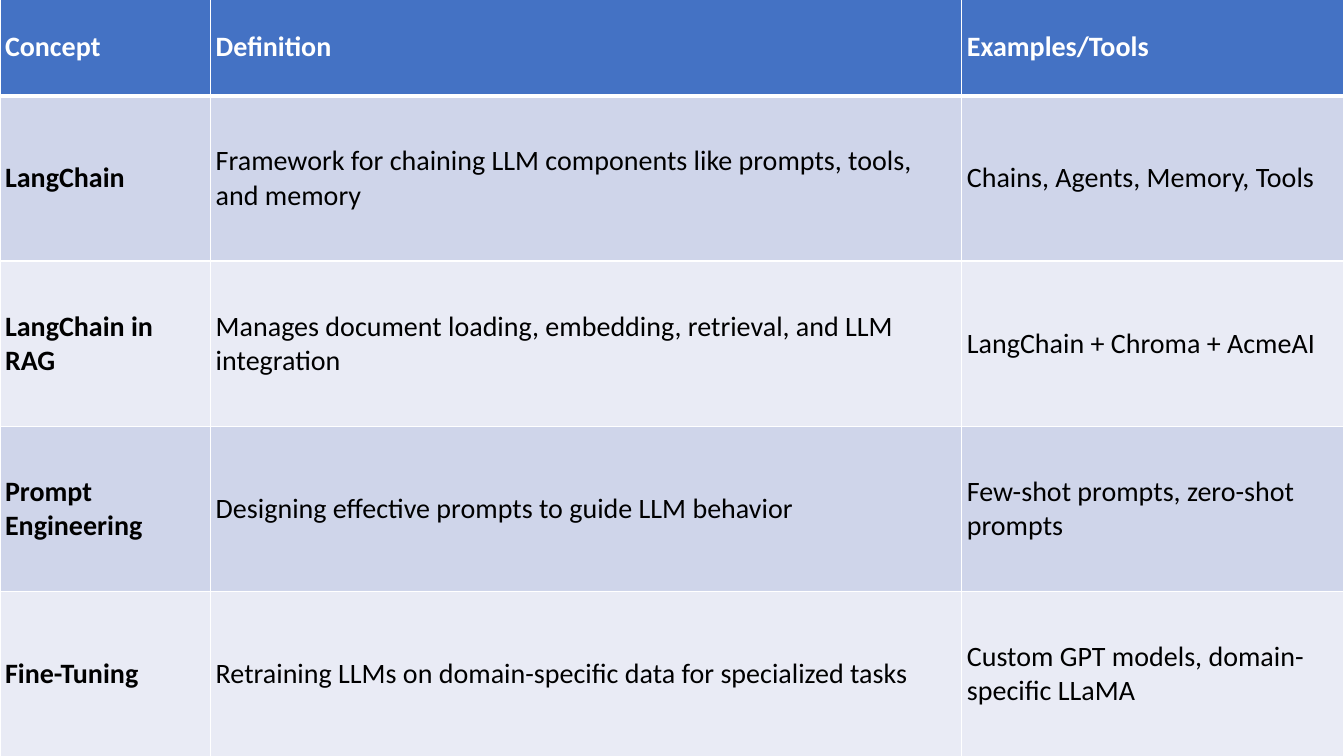
from dataclasses import dataclass

from lxml.etree import SubElement
from pptx import Presentation
from pptx.dml.color import RGBColor
from pptx.enum.text import MSO_ANCHOR
from pptx.oxml.ns import qn
from pptx.table import _Cell
from pptx.util import Inches, Pt

NAVY = RGBColor(0x00, 0x20, 0x60)
BLUE = RGBColor(0x44, 0x72, 0xC4)
BAND_DARK = RGBColor(0xCF, 0xD5, 0xEA)
BAND_LIGHT = RGBColor(0xE9, 0xEB, 0xF5)
WHITE = RGBColor(0xFF, 0xFF, 0xFF)
BLACK = RGBColor(0x00, 0x00, 0x00)

COLUMN_WIDTHS = (2.09, 7.45, 3.79)
HEADER_HEIGHT = 0.96
BODY_HEIGHT = 1.64
THIN_BORDER = 1
HEADER_BORDER = 3


@dataclass(frozen=True)
class ConceptRow:
    concept: str
    definition: str
    examples: str


ROWS = (
    ConceptRow("Concept", "Definition", "Examples/Tools"),
    ConceptRow(
        "LangChain",
        "Framework for chaining LLM components like prompts, tools, and memory",
        "Chains, Agents, Memory, Tools",
    ),
    ConceptRow(
        "LangChain in RAG",
        "Manages document loading, embedding, retrieval, and LLM integration",
        "LangChain + Chroma + AcmeAI",
    ),
    ConceptRow(
        "Prompt Engineering",
        "Designing effective prompts to guide LLM behavior",
        "Few-shot prompts, zero-shot prompts",
    ),
    ConceptRow(
        "Fine-Tuning",
        "Retraining LLMs on domain-specific data for specialized tasks",
        "Custom GPT models, domain-specific LLaMA",
    ),
)


def write_text(cell: _Cell, text: str, *, color: RGBColor, bold: bool) -> None:
    cell.vertical_anchor = MSO_ANCHOR.MIDDLE
    cell.margin_left = cell.margin_right = Inches(0.05)
    cell.margin_top = cell.margin_bottom = Inches(0.03)
    run = cell.text_frame.paragraphs[0].add_run()
    run.text = text
    run.font.name = "Calibri"
    run.font.size = Pt(20)
    run.font.bold = bold
    run.font.color.rgb = color


def set_borders(cell: _Cell, *, top: float, bottom: float) -> None:
    properties = cell._tc.get_or_add_tcPr()
    widths = {"lnL": THIN_BORDER, "lnR": THIN_BORDER, "lnT": top, "lnB": bottom}
    for side, width in widths.items():
        line = SubElement(properties, qn(f"a:{side}"), w=str(Pt(width)))
        fill = SubElement(line, qn("a:solidFill"))
        SubElement(fill, qn("a:srgbClr"), val=str(WHITE))


def fill_cell(cell: _Cell, text: str, row_index: int, column_index: int) -> None:
    is_header = row_index == 0
    write_text(
        cell,
        text,
        color=WHITE if is_header else BLACK,
        bold=is_header or column_index == 0,
    )
    set_borders(
        cell,
        top=HEADER_BORDER if row_index == 1 else THIN_BORDER,
        bottom=HEADER_BORDER if is_header else THIN_BORDER,
    )
    band = BAND_DARK if row_index % 2 else BAND_LIGHT
    cell.fill.solid()
    cell.fill.fore_color.rgb = BLUE if is_header else band


def main() -> None:
    presentation = Presentation()
    presentation.slide_width = Inches(13.33)
    presentation.slide_height = Inches(7.5)
    slide = presentation.slides.add_slide(presentation.slide_layouts[6])
    slide.background.fill.solid()
    slide.background.fill.fore_color.rgb = NAVY

    table = slide.shapes.add_table(
        len(ROWS), len(COLUMN_WIDTHS),
        Inches(0), Inches(-0.01), Inches(13.33), Inches(7.51),
    ).table
    for column, width in zip(table.columns, COLUMN_WIDTHS):
        column.width = Inches(width)
    for row_index, concept_row in enumerate(ROWS):
        height = BODY_HEIGHT if row_index else HEADER_HEIGHT
        table.rows[row_index].height = Inches(height)
        texts = (concept_row.concept, concept_row.definition, concept_row.examples)
        for column_index, text in enumerate(texts):
            fill_cell(table.cell(row_index, column_index), text, row_index, column_index)

    presentation.save("out.pptx")


if __name__ == "__main__":
    main()
